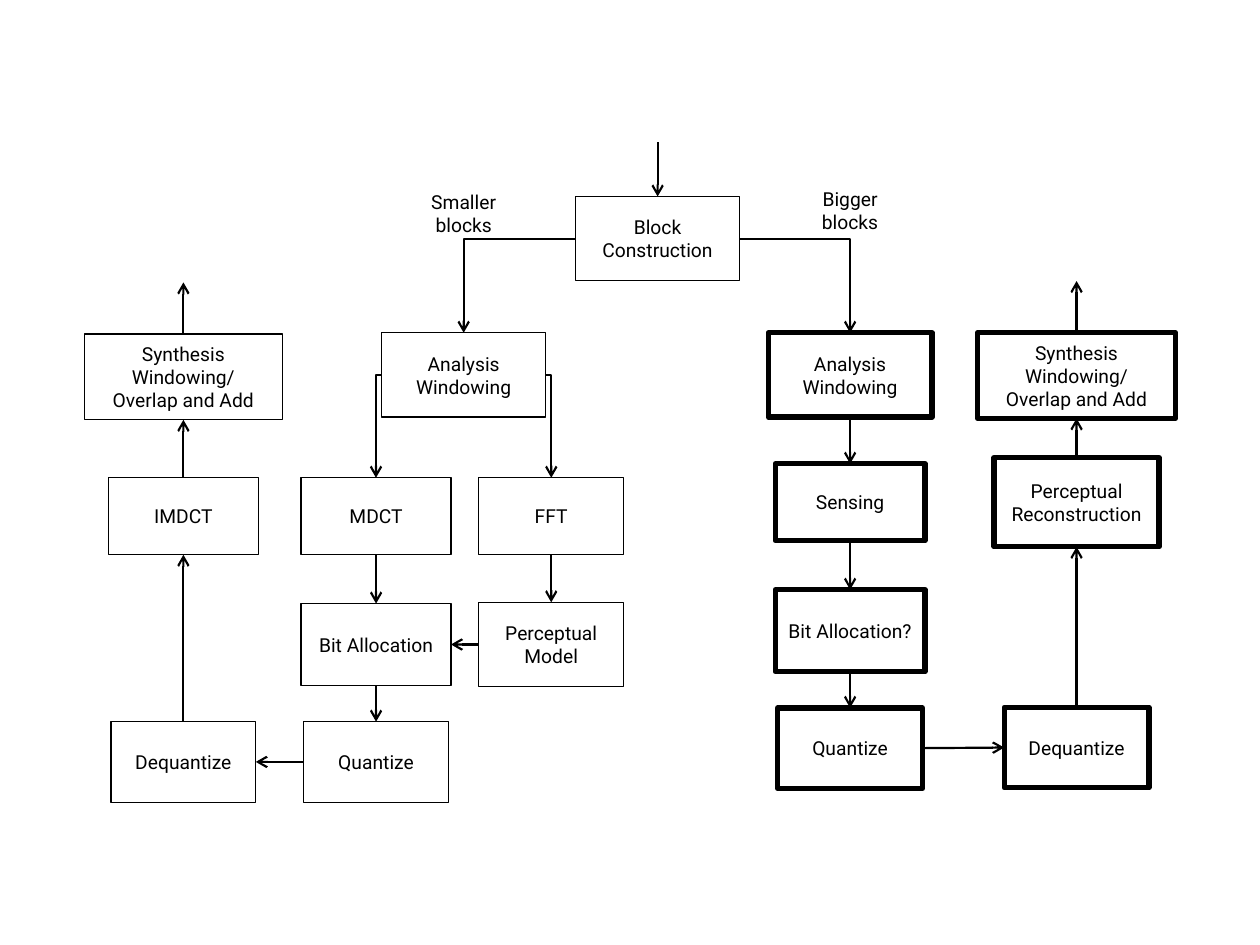
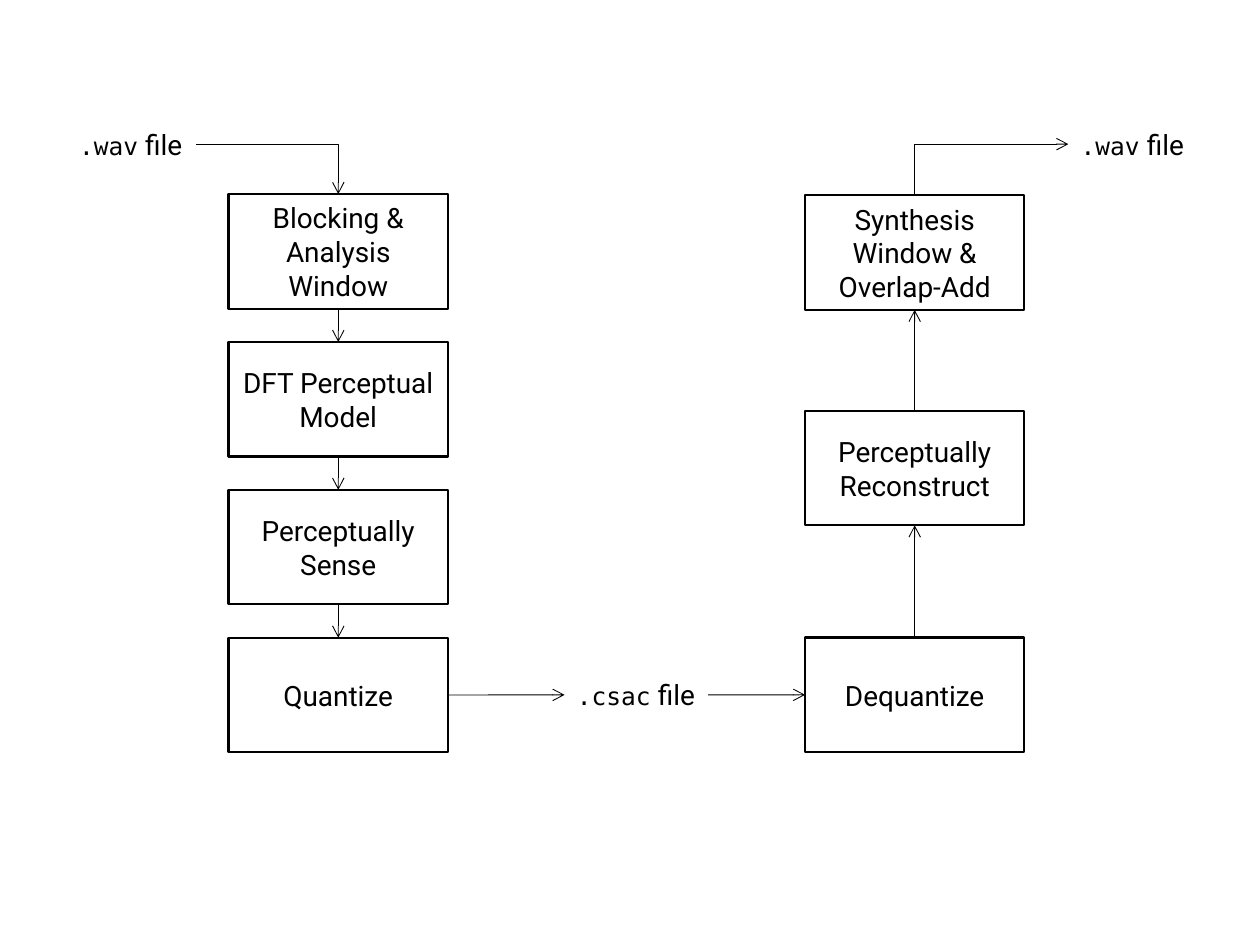
from dataclasses import dataclass
from lxml.etree import SubElement
from pptx import Presentation
from pptx.dml.color import RGBColor
from pptx.enum.shapes import MSO_CONNECTOR as Link, MSO_SHAPE as Shape
from pptx.enum.text import MSO_ANCHOR as Anchor, MSO_AUTO_SIZE as Fit, PP_ALIGN as Align
from pptx.oxml.ns import qn
from pptx.util import Pt


@dataclass(frozen=True)
class Theme:
    """Colours, fonts, type sizes and line widths."""
    ink: RGBColor = RGBColor(0, 0, 0)
    font: str = "Roboto"
    mono: str = "DejaVu Sans Mono"
    small: float = 11
    large: float = 16
    code: float = 14
    thin: float = 0.75
    thick: float = 3


T = Theme()
TOP, LEFT, BOTTOM, RIGHT = range(4)  # connection sites of a rectangle
DOWN, UP = (BOTTOM, TOP), (TOP, BOTTOM)
EAST, WEST = (RIGHT, LEFT), (LEFT, RIGHT)

# Box sizes and column centres of the codec diagram
WINDOW, STEP, ALLOCATE, QUANTIZE = (93.6, 48.2), (85.7, 44), (85.7, 46.8), (82.8, 46)
SYNTHESIS = (113, 49)
DECODE, MDCT, FFT, SMALLER, BLOCK, SENSE, REBUILD = 104.8, 214.9, 315, 265, 375.8, 485.8, 615.2
SYNTH_TEXT = "Synthesis Windowing/\nOverlap and Add"

# name: (text, centre x, top, size, line width)
CODEC_BOXES = {
    "block": ("Block Construction", BLOCK, 112.3, WINDOW, T.thin),
    "analysis": ("Analysis Windowing", SMALLER, 190.2, WINDOW, T.thin),
    "mdct": ("MDCT", MDCT, 273, STEP, T.thin),
    "fft": ("FFT", FFT, 273, (82.8, 44), T.thin),
    "allocate": ("Bit Allocation", MDCT, 344.9, ALLOCATE, T.thin),
    "model": ("Perceptual Model", FFT, 344.2, (82.8, 48.2), T.thin),
    "quantize": ("Quantize", MDCT, 412.4, QUANTIZE, T.thin),
    "dequantize": ("Dequantize", DECODE, 412.4, QUANTIZE, T.thin),
    "imdct": ("IMDCT", DECODE, 273, STEP, T.thin),
    "synthesis": (SYNTH_TEXT, DECODE, 190.9, SYNTHESIS, T.thin),
    "big analysis": ("Analysis Windowing", SENSE, 190.2, WINDOW, T.thick),
    "sensing": ("Sensing", SENSE, 265, STEP, T.thick),
    "big allocate": ("Bit Allocation?", SENSE, 337, ALLOCATE, T.thick),
    "big quantize": ("Quantize", SENSE, 404.5, QUANTIZE, T.thick),
    "big dequantize": ("Dequantize", REBUILD, 404.2, QUANTIZE, T.thick),
    "reconstruct": ("Perceptual\u0020Reconstruction", REBUILD, 261.4, (94.3, 51.1), T.thick),
    "big synthesis": (SYNTH_TEXT, REBUILD, 190.1, SYNTHESIS, T.thick),
}
CODEC_LABELS = {
    "smaller": ("Smaller\nblocks", SMALLER, 105.1, (51.8, 33.8)),
    "bigger": ("Bigger\nblocks", SENSE, 103.7, (47.5, 33.8)),
}
CODEC_ARROWS = [
    ("analysis", "mdct", (LEFT, TOP)), ("analysis", "fft", (RIGHT, TOP)),
    ("mdct", "allocate", DOWN), ("fft", "model", DOWN), ("model", "allocate", WEST),
    ("allocate", "quantize", DOWN), ("quantize", "dequantize", WEST),
    ("dequantize", "imdct", UP), ("imdct", "synthesis", UP),
    ("block", "analysis", (LEFT, TOP)), ("block", "big analysis", (RIGHT, TOP)),
    ("big analysis", "sensing", DOWN), ("sensing", "big allocate", DOWN),
    ("big allocate", "big quantize", DOWN), ("big quantize", "big dequantize", EAST),
    ("big dequantize", "reconstruct", UP), ("reconstruct", "big synthesis", UP),
]
# (box, length, leads into the box)
CODEC_STUBS = [("block", 31, True), ("synthesis", 29.5, False), ("big synthesis", 29.5, False)]

# File diagram: two columns of equal boxes
STAGE, ENCODER, DECODER = (125.3, 65.5), 193.3, 522.7
ENCODE_TOP, ENCODE_PITCH, DECODE_TOPS = 110.9, 84.5, (111.6, 234.7, 364.3)
ENCODE_STEPS = ["Blocking & Analysis Window", "DFT Perceptual Model", "Perceptually\nSense", "Quantize"]
DECODE_STEPS = ["Synthesis Window & Overlap-Add", "Perceptually Reconstruct", "Dequantize"]
FILE_LABELS = {
    "wav in": (".wav file", 75.2, 69.1, (74.2, 26.6)),
    "csac": (".csac file", 363.6, 383.8, (82, 26.6)),
    "wav out": (".wav file", 647.6, 69.1, (74.2, 26.6)),
}
FILE_ARROWS = (
    [(a, b, DOWN) for a, b in zip(ENCODE_STEPS, ENCODE_STEPS[1:])]
    + [(b, a, UP) for a, b in zip(DECODE_STEPS, DECODE_STEPS[1:])]
    + [("Quantize", "csac", EAST), ("csac", "Dequantize", EAST),
       ("wav in", ENCODE_STEPS[0], (RIGHT, TOP)), (DECODE_STEPS[0], "wav out", (TOP, LEFT))]
)


def apply(target, **values):
    """Set several attributes of one object."""
    for name, value in values.items():
        setattr(target, name, value)


def write(tf, text, size, align):
    """Fill a text frame; a leading file extension is set in the code font."""
    for i, line in enumerate(text.split("\n")):
        p = tf.paragraphs[0] if i == 0 else tf.add_paragraph()
        p.alignment = align
        runs = [(line, T.font, size)]
        if line.startswith("."):
            extension, rest = line.split(" ")
            runs = [(extension, T.mono, T.code), (" " + rest, T.font, size)]
        for words, font, points in runs:
            r = p.add_run()
            r.text = words
            apply(r.font, name=font, size=Pt(points))
            r.font.color.rgb = T.ink


def frame(centre, top, size):
    """Turn a centre, a top and a size into left, top, width and height."""
    width, height = size
    return [Pt(v) for v in (centre - width / 2, top, width, height)]


def add_box(s, text, centre, top, size, line, points):
    """Draw an outlined box with centred text."""
    sp = s.shapes.add_shape(Shape.RECTANGLE, *frame(centre, top, size))
    sp.shadow.inherit = False
    sp.fill.background()
    sp.line.color.rgb = T.ink
    sp.line.width = Pt(line)
    apply(sp.text_frame, word_wrap=True, vertical_anchor=Anchor.MIDDLE)
    write(sp.text_frame, text, points, Align.CENTER)
    return sp


def add_label(s, text, centre, top, size, points, align):
    """Draw a free text label."""
    sp = s.shapes.add_textbox(*frame(centre, top, size))
    apply(sp.text_frame, word_wrap=False, auto_size=Fit.SHAPE_TO_FIT_TEXT)
    write(sp.text_frame, text, points, align)
    return sp


def site(sp, side):
    """Give the point in the middle of one side of a shape."""
    x, y = sp.left + sp.width // 2, sp.top + sp.height // 2
    return {TOP: (x, sp.top), LEFT: (sp.left, y),
            BOTTOM: (x, sp.top + sp.height), RIGHT: (sp.left + sp.width, y)}[side]


def add_arrow(s, start, end, width, bent=False, tip="tailEnd"):
    """Draw an arrow; a bent one runs across first, then up or down."""
    c = s.shapes.add_connector(Link.ELBOW if bent else Link.STRAIGHT, *start, *end)
    c.line.color.rgb = T.ink
    c.line.width = Pt(width)
    props = c._element.spPr
    if bent:
        props.find(qn("a:prstGeom")).set("prst", "bentConnector2")
    SubElement(props.find(qn("a:ln")), qn("a:" + tip), type="arrow")
    SubElement(props, qn("a:effectLst"))
    return c


def join(s, a, b, sides, width):
    """Glue an arrow from a side of one shape to a side of another."""
    first, last = sides
    bent = {first, last} not in ({TOP, BOTTOM}, {LEFT, RIGHT})
    tip = "tailEnd"
    if bent and first in (TOP, BOTTOM):
        a, b, first, last, tip = b, a, last, first, "headEnd"
    c = add_arrow(s, site(a, first), site(b, last), width, bent, tip)
    c.begin_connect(a, first)
    c.end_connect(b, last)


def build(prs, boxes, labels, arrows, points, width, align):
    """Make one diagram slide and return it with its shapes by name."""
    s = prs.slides.add_slide(prs.slide_layouts[6])
    shapes = {name: add_box(s, *box, points) for name, box in boxes.items()}
    shapes.update({name: add_label(s, *label, points, align) for name, label in labels.items()})
    for a, b, sides in arrows:
        join(s, shapes[a], shapes[b], sides, width)
    return s, shapes


def codec_slide(prs):
    """Show the codec with smaller and bigger blocks."""
    width = 1.25
    s, shapes = build(prs, CODEC_BOXES, CODEC_LABELS, CODEC_ARROWS, T.small, width, Align.CENTER)
    for name, length, inward in CODEC_STUBS:
        x, y = site(shapes[name], TOP)
        ends = [(x, y - Pt(length)), (x, y)]
        add_arrow(s, *(ends if inward else ends[::-1]), width)


def file_slide(prs):
    """Show the way from the sound file to the coded file and back."""
    tops = [ENCODE_TOP + i * ENCODE_PITCH for i in range(len(ENCODE_STEPS))]
    columns = [(ENCODER, ENCODE_STEPS, tops), (DECODER, DECODE_STEPS, DECODE_TOPS)]
    boxes = {text: (text, centre, top, STAGE, 1.25)
             for centre, steps, column in columns for text, top in zip(steps, column)}
    build(prs, boxes, FILE_LABELS, FILE_ARROWS, T.large, 0.5, Align.LEFT)


prs = Presentation()
apply(prs, slide_width=Pt(720), slide_height=Pt(540))
codec_slide(prs)
file_slide(prs)
prs.save("out.pptx")
